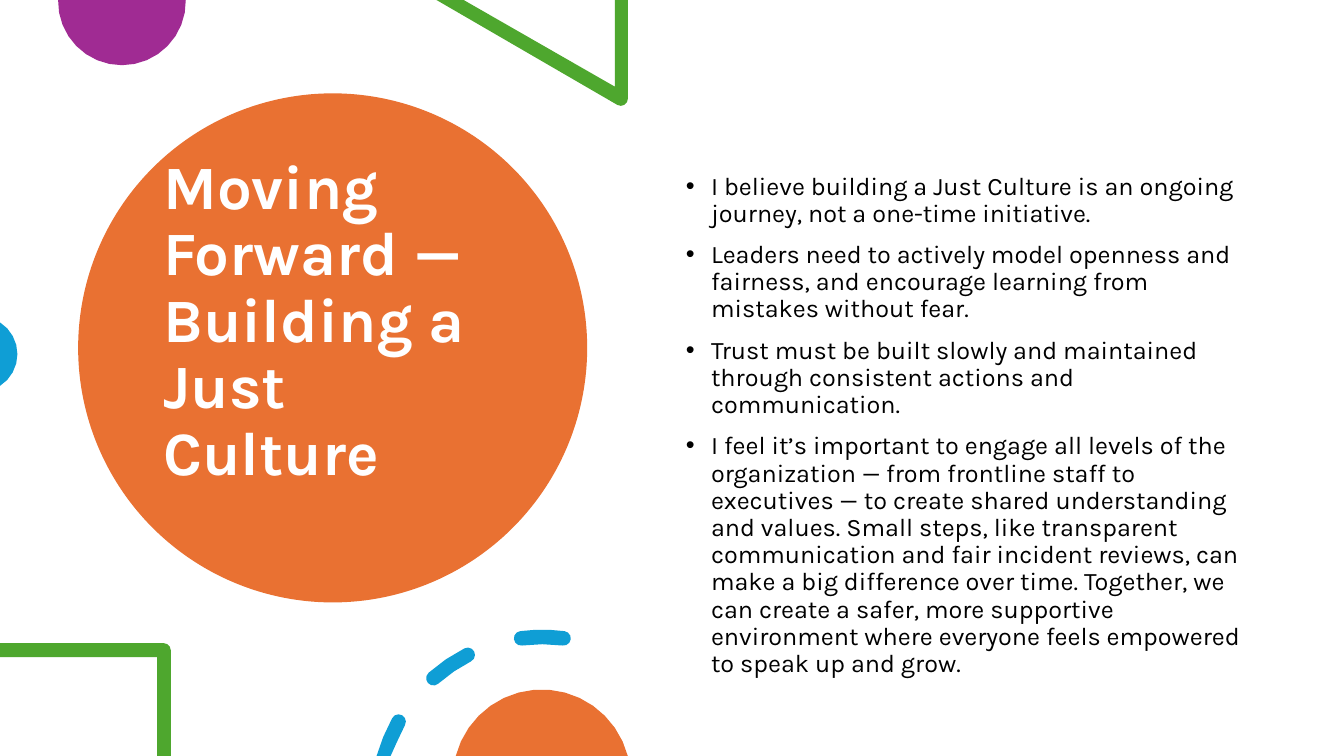
from dataclasses import dataclass
from math import acos, ceil, cos, degrees, radians, sin

from lxml import etree
from pptx import Presentation
from pptx.dml.color import RGBColor
from pptx.enum.shapes import MSO_SHAPE
from pptx.enum.text import MSO_ANCHOR, MSO_AUTO_SIZE, PP_ALIGN
from pptx.oxml.ns import qn
from pptx.util import Pt

HEADING = "Moving Forward — Building a Just Culture"
POINTS = [
    "I believe building a Just Culture is an ongoing journey, not a one-time initiative.",
    "Leaders need to actively model openness and fairness, and encourage learning from "
    "mistakes without fear.",
    "Trust must be built slowly and maintained through consistent actions and communication.",
    "I feel it’s important to engage all levels of the organization — from frontline staff "
    "to executives — to create shared understanding and values. Small steps, like "
    "transparent communication and fair incident reviews, can make a big difference over "
    "time. Together, we can create a safer, more supportive environment where everyone "
    "feels empowered to speak up and grow.",
]


@dataclass(frozen=True)
class Theme:
    font: str = "Karla"
    heading_size: int = 44
    point_size: int = 18
    line_spacing: float = 0.9
    orange: str = "E97132"
    purple: str = "A02B93"
    green: str = "4EA72E"
    blue: str = "0F9ED5"
    white: str = "FFFFFF"
    black: str = "000000"


THEME = Theme()
WIDTH, HEIGHT = 960, 540
HEADING_DISC = (55.8, 66.7, 363.6, 363.6)
HEADING_BOX = (109.4, 97.2, 254.9, 320.4)
POINTS_BOX = (482.8, 120.2, 414, 385.2)
HEADING_LIFT = 58
BULLET_INDENT = 18
CORNER_RADIUS = 5
CURVE_TOLERANCE = 0.25

# Discs cut by the slide edge: centre x, centre y, radius, visible arc
PURPLE_DISC = (87.1, 1, 45.6, -1.25, 181.25)
BLUE_DISC = (-14.4, 253, 26.9, -57.6, 57.6)
ORANGE_DISC = (387, 556, 63.5, 194.6, 345.4)
# Dashes along one ring: start and end angle
DASH_RING = (387.4, 572.4, 117.4)
DASH_WIDTH = 10.4
DASHES = [(195, 209), (228.5, 243), (262.6, 277.4)]


def arc(x, y, radius, start, end):
    """Points along an arc; angles in degrees, clockwise from the right."""
    widest_step = 2 * degrees(acos(1 - CURVE_TOLERANCE / radius))
    steps = ceil(abs(end - start) / widest_step)
    angles = [radians(start + (end - start) * i / steps) for i in range(steps + 1)]
    return [(x + radius * cos(a), y + radius * sin(a)) for a in angles]


def dash(start, end):
    """Round-ended ring segment, cut at the bottom of the slide."""
    x, y, radius = DASH_RING
    half = DASH_WIDTH / 2

    def cap(angle, turn):
        end_x = x + radius * cos(radians(angle))
        end_y = y + radius * sin(radians(angle))
        return arc(end_x, end_y, half, angle + turn, angle + turn + 180)[1:-1]

    outline = (arc(x, y, radius + half, start, end) + cap(end, 0)
               + arc(x, y, radius - half, end, start) + cap(start, 180))
    return [(px, min(py, HEIGHT)) for px, py in outline]


def paint(shape, color):
    shape.shadow.inherit = False
    shape.fill.solid()
    shape.fill.fore_color.rgb = RGBColor.from_string(color)
    shape.line.fill.background()


def add_outlines(slide, color, *outlines):
    """Draw all outlines as contours of one freeform."""
    contours = [[(Pt(x), Pt(y)) for x, y in outline] for outline in outlines]
    builder = slide.shapes.build_freeform(*contours[0][0])
    for number, (first, *rest) in enumerate(contours):
        if number:
            builder.move_to(*first)
        builder.add_line_segments(rest, close=True)
    paint(builder.convert_to_shape(), color)


def style(paragraph, size, color, bold=False):
    paragraph.alignment = PP_ALIGN.LEFT
    paragraph.line_spacing = THEME.line_spacing
    for run in paragraph.runs:
        run.font.name = THEME.font
        run.font.size = Pt(size)
        run.font.bold = bold
        run.font.color.rgb = RGBColor.from_string(color)


def add_bullet(paragraph):
    properties = paragraph._p.get_or_add_pPr()
    properties.set("marL", str(Pt(BULLET_INDENT)))
    properties.set("indent", str(-Pt(BULLET_INDENT)))
    etree.SubElement(properties, qn("a:buFont"), typeface="Arial")
    etree.SubElement(properties, qn("a:buChar"), char="•")


def add_heading(slide):
    disc = slide.shapes.add_shape(MSO_SHAPE.OVAL, *map(Pt, HEADING_DISC))
    paint(disc, THEME.orange)
    heading = slide.shapes.title
    heading._element.addprevious(disc._element)
    heading.left, heading.top, heading.width, heading.height = map(Pt, HEADING_BOX)
    frame = heading.text_frame
    frame.text = HEADING
    frame.word_wrap = True
    frame.auto_size = MSO_AUTO_SIZE.NONE
    frame.vertical_anchor = MSO_ANCHOR.MIDDLE
    frame.margin_bottom = Pt(HEADING_LIFT)
    style(frame.paragraphs[0], THEME.heading_size, THEME.white, bold=True)


def add_top_decorations(slide):
    triangle = [(448.5, 0), (439.2, 0), (439.2, 61.9), (331.2, 0), (311.8, 0)]
    triangle += arc(443.5, 70.6, CORNER_RADIUS, 120, 0)
    add_outlines(slide, THEME.purple, arc(*PURPLE_DISC))
    add_outlines(slide, THEME.green, triangle)
    add_outlines(slide, THEME.blue, arc(*BLUE_DISC))


def add_bottom_decorations(slide):
    square = [(0, 459.4), (0, 469.4), (112.3, 469.4), (112.3, 540), (122, 540)]
    square += arc(117, 464.4, CORNER_RADIUS, 0, -90)
    add_outlines(slide, THEME.green, square)
    add_outlines(slide, THEME.blue, *[dash(*angles) for angles in DASHES])
    add_outlines(slide, THEME.orange, arc(*ORANGE_DISC))


def add_points(slide):
    frame = slide.shapes.add_textbox(*map(Pt, POINTS_BOX)).text_frame
    frame.word_wrap = True
    frame.text = "\n".join(POINTS)
    for paragraph in frame.paragraphs:
        style(paragraph, THEME.point_size, THEME.black)
        paragraph.space_before = Pt(10)
        add_bullet(paragraph)


def main():
    deck = Presentation()
    deck.slide_width, deck.slide_height = Pt(WIDTH), Pt(HEIGHT)
    slide = deck.slides.add_slide(deck.slide_layouts[5])
    add_heading(slide)
    add_top_decorations(slide)
    add_points(slide)
    add_bottom_decorations(slide)
    deck.save("out.pptx")


if __name__ == "__main__":
    main()
